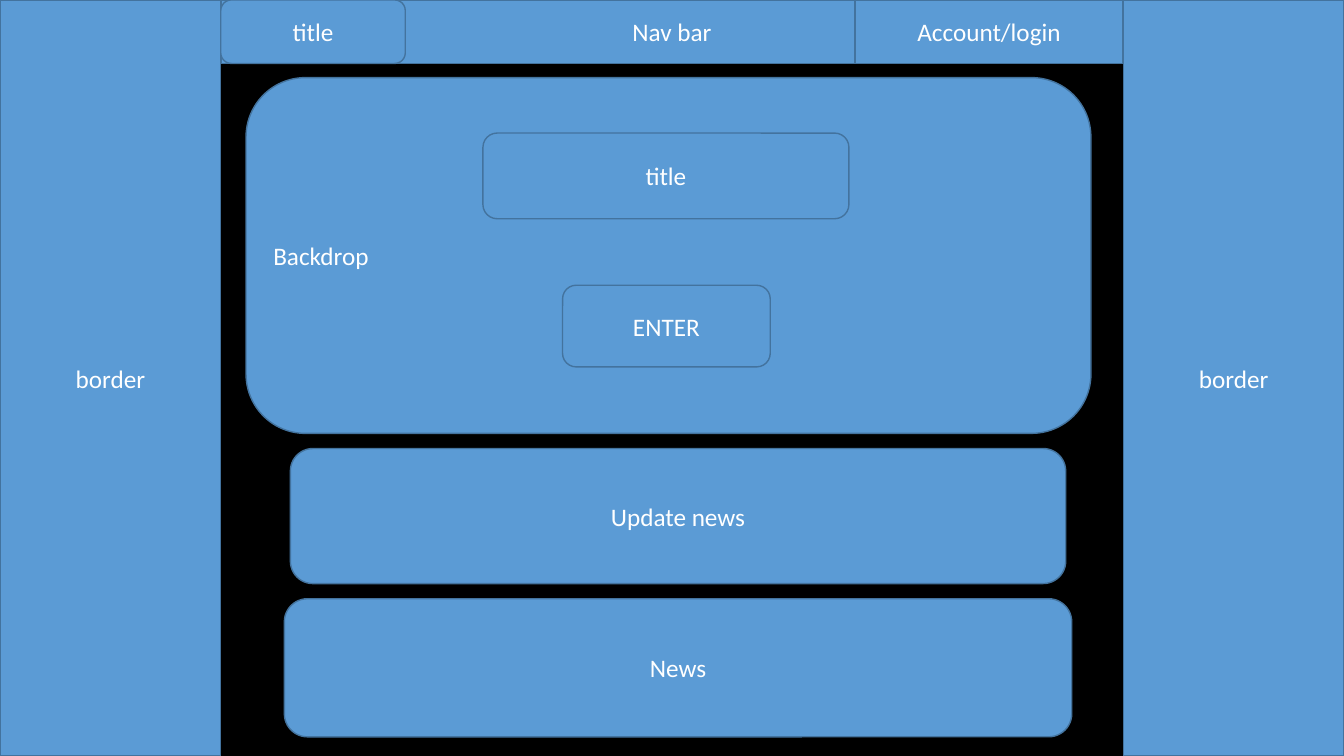
import pptx
import pptx.util
import pptx.dml.color
import pptx.enum.shapes
import pptx.enum.text

Inches = pptx.util.Inches
Pt = pptx.util.Pt
Kind = pptx.enum.shapes.MSO_SHAPE
Align = pptx.enum.text.PP_ALIGN

WIDTH, HEIGHT = 13.33, 7.5
SIDE = 2.19   # width of each border
BAR = 0.63    # height of the nav bar
LOGIN = 2.66  # width of the login box


def paint(fill, color):
    fill.solid()
    fill.fore_color.rgb = pptx.dml.color.RGBColor.from_string(color)


def add_box(kind, text, left, top, width, height, align=Align.CENTER):
    box = slide.shapes.add_shape(
        kind, Inches(left), Inches(top), Inches(width), Inches(height))
    box.shadow.inherit = False
    paint(box.fill, "5B9BD5")
    paint(box.line.fill, "43739E")
    box.line.width = Pt(1)
    frame = box.text_frame
    frame.word_wrap = True
    frame.vertical_anchor = pptx.enum.text.MSO_ANCHOR.MIDDLE
    para = frame.paragraphs[0]
    para.alignment = align
    run = para.add_run()
    run.text = text
    run.font.name = "Calibri"
    run.font.size = Pt(18)
    paint(run.font.fill, "FFFFFF")


deck = pptx.Presentation()
deck.slide_width = Inches(WIDTH)
deck.slide_height = Inches(HEIGHT)
slide = deck.slides.add_slide(deck.slide_layouts[6])
paint(slide.background.fill, "000000")

# Page frame
right = WIDTH - SIDE
for left in (0, right):
    add_box(Kind.RECTANGLE, "border", left, 0, SIDE, HEIGHT)
add_box(Kind.RECTANGLE, "Nav bar", SIDE, 0, right - SIDE, BAR)
add_box(Kind.RECTANGLE, "Account/login", right - LOGIN, 0, LOGIN, BAR)

# Content panels, back to front
panels = [
    ("Update news", 2.88, 4.45, 7.69, 1.34, Align.CENTER),
    ("News", 2.82, 5.94, 7.81, 1.37, Align.CENTER),
    ("Backdrop", 2.44, 0.77, 8.38, 3.53, Align.LEFT),
    ("ENTER", 5.58, 2.83, 2.06, 0.81, Align.CENTER),
    ("title", 4.79, 1.32, 3.63, 0.85, Align.CENTER),
    ("title", SIDE, 0, 1.83, BAR, Align.CENTER),
]
for panel in panels:
    add_box(Kind.ROUNDED_RECTANGLE, *panel)

deck.save("out.pptx")
